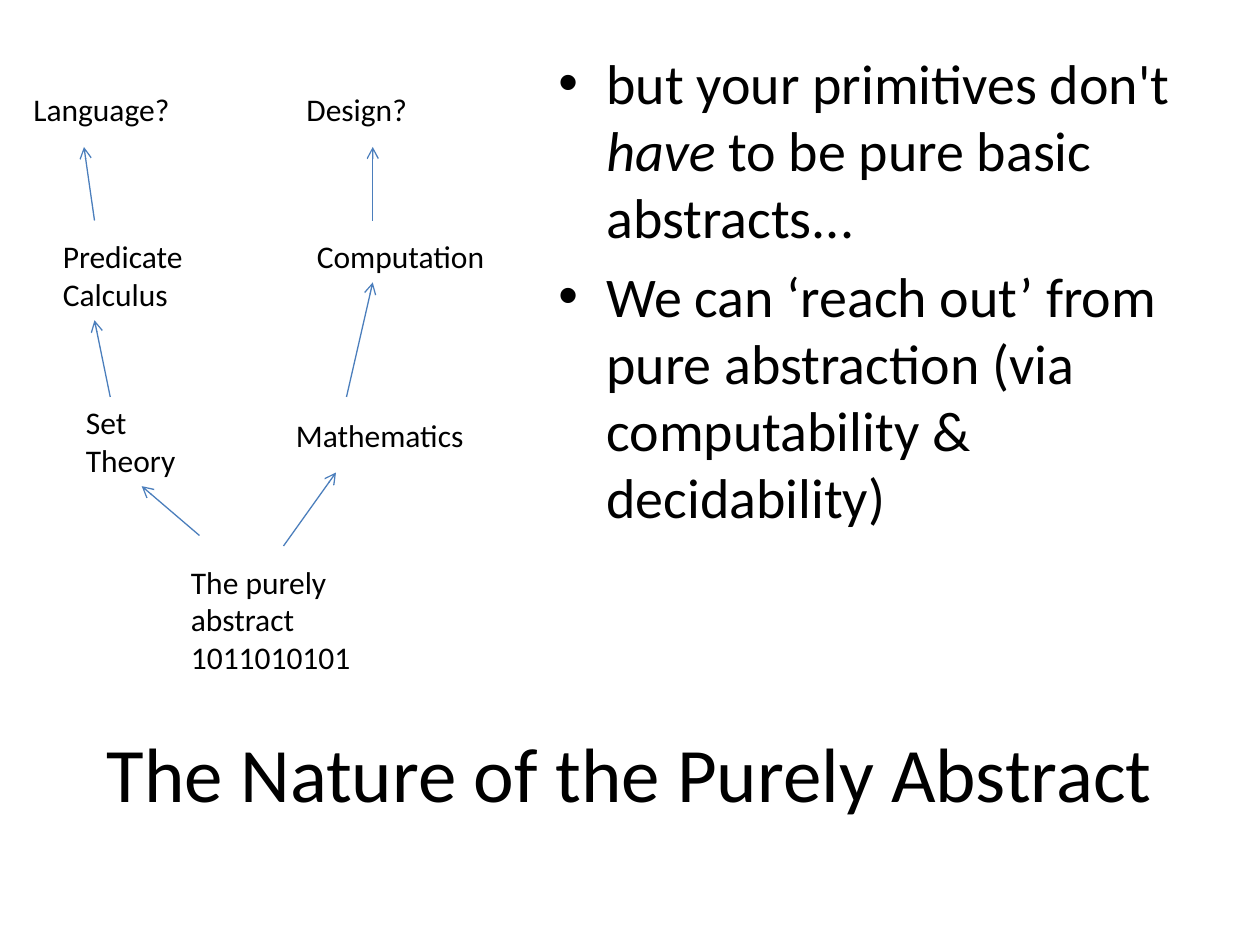
from dataclasses import dataclass

from lxml.etree import SubElement
from pptx import Presentation
from pptx.dml.color import RGBColor
from pptx.enum.shapes import MSO_CONNECTOR
from pptx.enum.text import MSO_ANCHOR, PP_ALIGN
from pptx.oxml.ns import qn
from pptx.util import Inches, Pt

COLUMNS, ROWS = 120, 90  # twelve grid steps to the inch
BOTTOM = 2  # connection site of a rectangle


@dataclass(frozen=True)
class Theme:
    font: str = "Calibri"
    ink: RGBColor = RGBColor(0x00, 0x00, 0x00)
    arrow: RGBColor = RGBColor(0x4B, 0x7E, 0xBC)
    title_size: int = 44
    body_size: int = 32
    label_size: int = 18
    arrow_width: float = 0.75
    bullet_indent: float = 0.38
    bullet_gap: float = 6.4


class SlideBuilder:
    def __init__(self, deck, theme):
        self.theme = theme
        self.column = deck.slide_width / COLUMNS
        self.row = deck.slide_height / ROWS
        self.slide = deck.slides.add_slide(deck.slide_layouts[6])

    def place(self, column, row):
        return round(column * self.column), round(row * self.row)

    def text_box(self, column, row, columns, rows):
        box = self.slide.shapes.add_textbox(
            *self.place(column, row), *self.place(columns, rows))
        box.text_frame.word_wrap = True
        return box

    def style(self, paragraph, size):
        for run in paragraph.runs:
            run.font.name = self.theme.font
            run.font.size = Pt(size)
            run.font.color.rgb = self.theme.ink

    def title(self, text, area):
        frame = self.text_box(*area).text_frame
        frame.vertical_anchor = MSO_ANCHOR.MIDDLE
        frame.text = text
        frame.paragraphs[0].alignment = PP_ALIGN.CENTER
        self.style(frame.paragraphs[0], self.theme.title_size)

    def label(self, text, area):
        box = self.text_box(*area)
        box.text_frame.text = text
        for paragraph in box.text_frame.paragraphs:
            self.style(paragraph, self.theme.label_size)
        return box

    def bullets(self, points, area):
        """Each point is a list of (text, italic) pieces."""
        frame = self.text_box(*area).text_frame
        for index, pieces in enumerate(points):
            point = frame.add_paragraph() if index else frame.paragraphs[0]
            indent = Inches(self.theme.bullet_indent)
            properties = point._p.get_or_add_pPr()
            properties.set("marL", str(indent))
            properties.set("indent", str(-indent))
            SubElement(properties, qn("a:buFont")).set("typeface", "Arial")
            SubElement(properties, qn("a:buChar")).set("char", "•")
            if index:
                point.space_before = Pt(self.theme.bullet_gap)
            for text, italic in pieces:
                run = point.add_run()
                run.text = text
                run.font.italic = italic
            self.style(point, self.theme.body_size)

    def arrow(self, start, end, target=None):
        arrow = self.slide.shapes.add_connector(
            MSO_CONNECTOR.STRAIGHT, *self.place(*start), *self.place(*end))
        if target is not None:
            arrow.end_connect(target, BOTTOM)
        arrow.line.color.rgb = self.theme.arrow
        arrow.line.width = Pt(self.theme.arrow_width)
        SubElement(arrow.line._get_or_add_ln(), qn("a:tailEnd")).set("type", "arrow")
        SubElement(arrow._element.spPr, qn("a:effectLst"))


def main():
    deck = Presentation()
    deck.slide_width, deck.slide_height = Inches(10), Inches(7.5)
    builder = SlideBuilder(deck, Theme())

    # Title and argument
    builder.title("The Nature of the Purely Abstract", (6, 66, 108, 15))
    builder.bullets([
        [("but your primitives don't ", False), ("have", True),
         (" to be pure basic abstracts...", False)],
        [("We can ‘reach out’ from pure abstraction "
          "(via computability & decidability)", False)],
    ], (52, 4, 62, 59.4))

    # Common root
    builder.label("The purely abstract\n1011010101", (17, 53, 22, 12.1))

    # Branch towards language
    set_theory = builder.label("Set Theory", (7, 37.8, 13, 8.5))
    builder.label("Predicate Calculus", (4.8, 22, 17, 8.5))
    builder.label("Language?", (2, 8, 17, 4.8))
    builder.arrow((19, 51), (13.5, 46.3), target=set_theory)
    builder.arrow((10.5, 37.8), (9, 30.5))
    builder.arrow((9, 21), (8, 14))

    # Branch towards design
    builder.label("Mathematics", (27, 39, 19, 4.8))
    builder.label("Computation", (29, 22, 19.4, 4.8))
    builder.label("Design?", (28, 8, 15, 4.8))
    builder.arrow((27, 52), (32, 45))
    builder.arrow((33, 37.8), (35.5, 26.9))
    builder.arrow((35.5, 21), (35.5, 14))

    deck.save("out.pptx")


if __name__ == "__main__":
    main()
